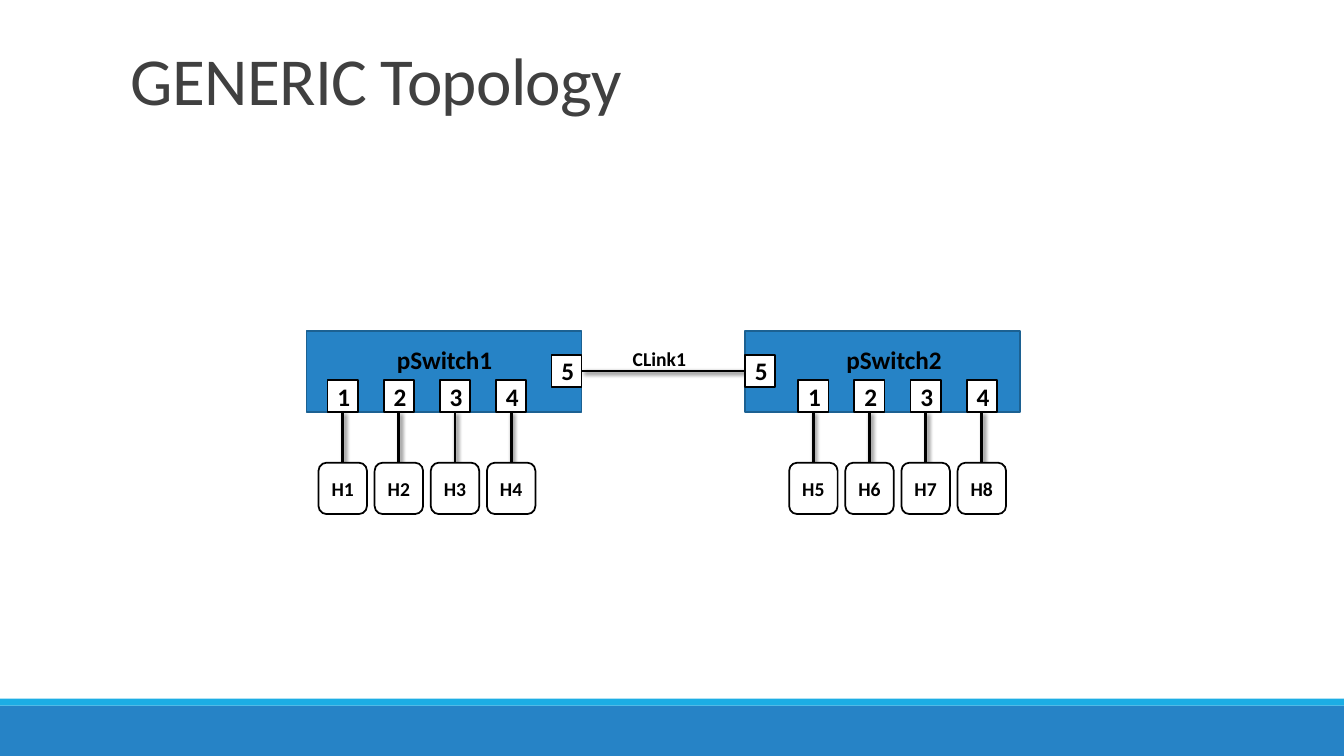
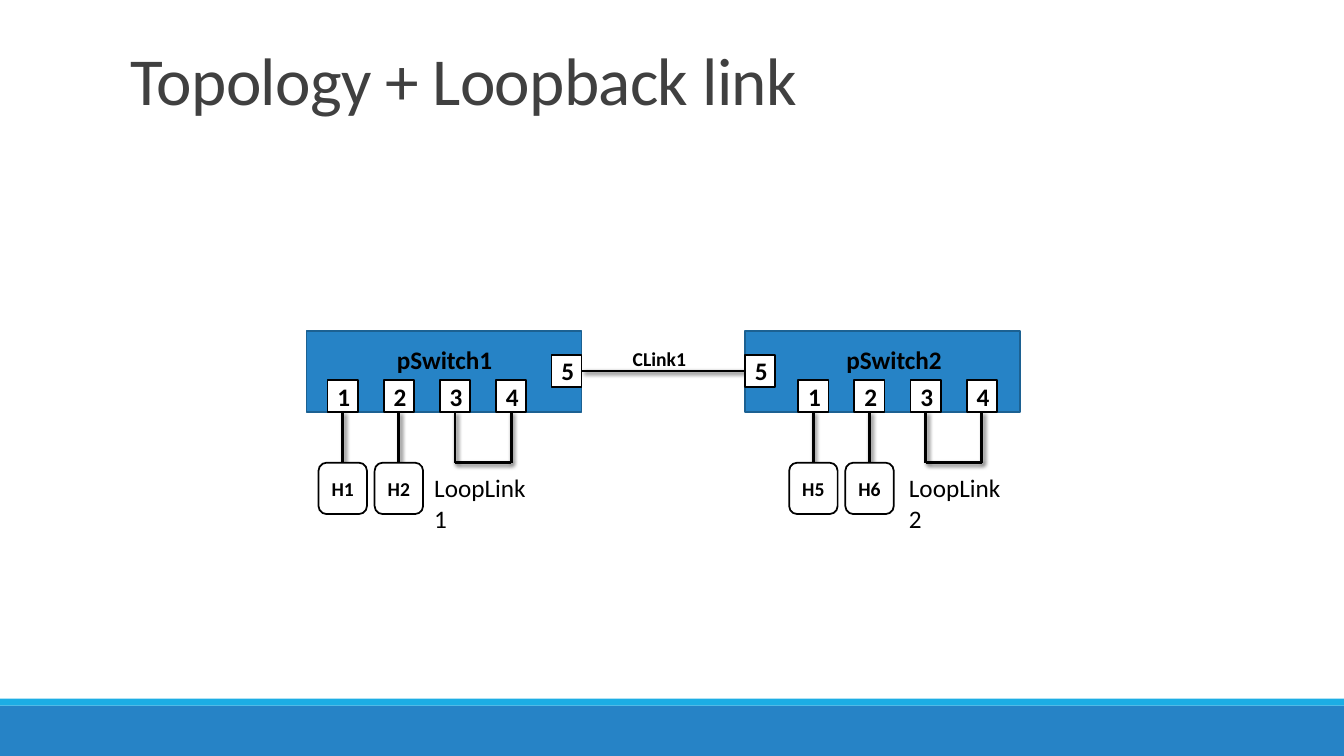
from lxml.etree import SubElement
from pptx import Presentation
from pptx.dml.color import RGBColor
from pptx.enum.shapes import MSO_CONNECTOR, MSO_SHAPE
from pptx.enum.text import MSO_ANCHOR, PP_ALIGN
from pptx.oxml.ns import qn
from pptx.util import Pt

# Slide size and palette
WIDTH, HEIGHT = 960, 540
BLUE, CYAN, NAVY = "2683C6", "1CADE4", "1C6192"
BLACK, WHITE, GRAY = "000000", "FFFFFF", "404040"

# Geometry of the topology, in points
SWITCH_TOP, SWITCH_W, SWITCH_H = 236.2, 196.6, 58.3
SWITCH_BOTTOM = SWITCH_TOP + SWITCH_H
PORT_W, PORT_H, PITCH = 21.6, 23, 40.1
UPLINK_TOP, LINK_Y = 253.4, 265
HOST_TOP, HOST_W, HOST_H = 330.5, 34.6, 36.7

# Per switch: left edge, centre of port 1, left of port 5, name box, loop box
SWITCHES = [
    dict(left=218.9, port1=244.8, uplink=393.9, name=275.8, loop=303.1),
    dict(left=532.1, port1=581, uplink=532.1, name=596.9, loop=642.2),
]


def rgb(value):
    return RGBColor.from_string(value)


class Deck:
    FONT = {"name": "Calibri", "size": Pt(18), "bold": True}

    def __init__(self):
        self.prs = Presentation()
        self.prs.slide_width, self.prs.slide_height = Pt(WIDTH), Pt(HEIGHT)
        self.s = None

    def slide(self, title):
        """Start a slide with the footer bands and the title."""
        self.s = self.prs.slides.add_slide(self.prs.slide_layouts[6])
        self.box(0, 504, WIDTH, 36, BLUE)
        self.box(0, 499, WIDTH, 5, CYAN)
        tf = self.label(title, 86.4, 22.3, 792, 66.2, color=GRAY, wrap=True,
                        size=Pt(48), bold=False)
        tf.vertical_anchor = MSO_ANCHOR.BOTTOM
        p = tf.paragraphs[0]
        p.line_spacing = 0.85
        p.runs[0].font._element.set("spc", "-50")

    def add_text(self, tf, text, color=BLACK, align=PP_ALIGN.CENTER, **style):
        p = tf.paragraphs[0]
        p.alignment = align
        r = p.add_run()
        r.text = text
        for key, value in {**self.FONT, **style}.items():
            setattr(r.font, key, value)
        r.font.color.rgb = rgb(color)

    def box(self, x, y, w, h, fill, line=None, text=None,
            shape=MSO_SHAPE.RECTANGLE, **style):
        sp = self.s.shapes.add_shape(shape, Pt(x), Pt(y), Pt(w), Pt(h))
        sp.shadow.inherit = False
        sp.fill.solid()
        sp.fill.fore_color.rgb = rgb(fill)
        if line:
            sp.line.color.rgb = rgb(line)
            sp.line.width = Pt(1.25)
        else:
            sp.line.fill.background()
        if text:
            self.add_text(sp.text_frame, text, **style)

    def label(self, text, x, y, w, h, wrap=False, align=PP_ALIGN.LEFT, **style):
        tf = self.s.shapes.add_textbox(Pt(x), Pt(y), Pt(w), Pt(h)).text_frame
        tf.word_wrap = wrap
        self.add_text(tf, text, align=align, **style)
        return tf

    def wire(self, x1, y1, x2, y2):
        """Draw a black line with a soft shadow to the lower right."""
        c = self.s.shapes.add_connector(MSO_CONNECTOR.STRAIGHT,
                                        Pt(x1), Pt(y1), Pt(x2), Pt(y2))
        c.line.color.rgb = rgb(BLACK)
        c.line.width = Pt(2)
        effects = SubElement(c._element.spPr, qn("a:effectLst"))
        shadow = SubElement(effects, qn("a:outerShdw"), blurRad=str(Pt(3)),
                            dist=str(Pt(2)), dir="2700000", rotWithShape="0")
        color = SubElement(shadow, qn("a:srgbClr"), val=BLACK)
        SubElement(color, qn("a:alpha"), val="60000")

    def port(self, number, x, y):
        self.box(x, y, PORT_W, PORT_H, WHITE, BLACK, str(number))

    def host(self, number, center):
        self.box(center - HOST_W / 2, HOST_TOP, HOST_W, HOST_H, WHITE, BLACK,
                 f"H{number}", MSO_SHAPE.ROUNDED_RECTANGLE, size=Pt(14))

    def topology(self, loopback=False):
        # Switches and the link between them
        for sw in SWITCHES:
            self.box(sw["left"], SWITCH_TOP, SWITCH_W, SWITCH_H, BLUE, NAVY)
        left, right = SWITCHES
        self.wire(left["left"] + SWITCH_W, LINK_Y, right["left"], LINK_Y)
        self.label("CLink1", 440, 244.1, 62, 24.5, align=PP_ALIGN.CENTER,
                   size=Pt(14))

        for i, sw in enumerate(SWITCHES):
            self.label(f"pSwitch{i + 1}", sw["name"], 242.6, 83.5, 28.8,
                       align=PP_ALIGN.CENTER)
            self.port(5, sw["uplink"], UPLINK_TOP)

            # Ports with their wires and hosts
            centers = [sw["port1"] + n * PITCH for n in range(4)]
            for n, x in enumerate(centers, 1):
                self.port(n, x - PORT_W / 2, SWITCH_BOTTOM - PORT_H)
                self.wire(x, SWITCH_BOTTOM, x, HOST_TOP)
                if n <= 2 or not loopback:
                    self.host(4 * i + n, x)

            # Loop between ports 3 and 4
            if loopback:
                self.wire(centers[2], HOST_TOP, centers[3], HOST_TOP)
                self.label(f"LoopLink{i + 1}", sw["loop"], 334.1, 86.4, 50.4,
                           wrap=True, bold=False)


def main():
    deck = Deck()
    deck.slide("GENERIC Topology")
    deck.topology()
    deck.slide("Topology + Loopback link")
    deck.topology(loopback=True)
    deck.prs.save("out.pptx")


if __name__ == "__main__":
    main()
